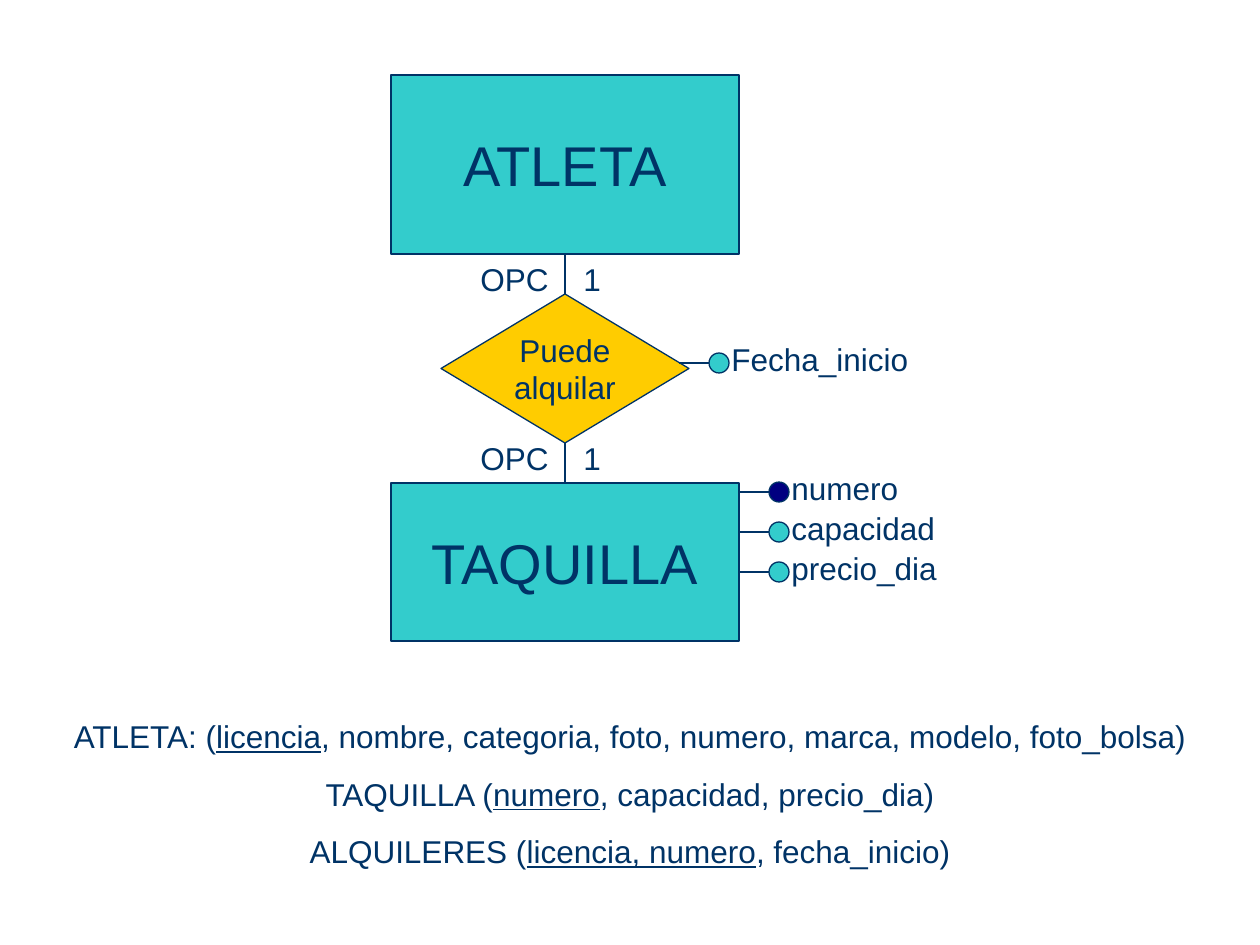
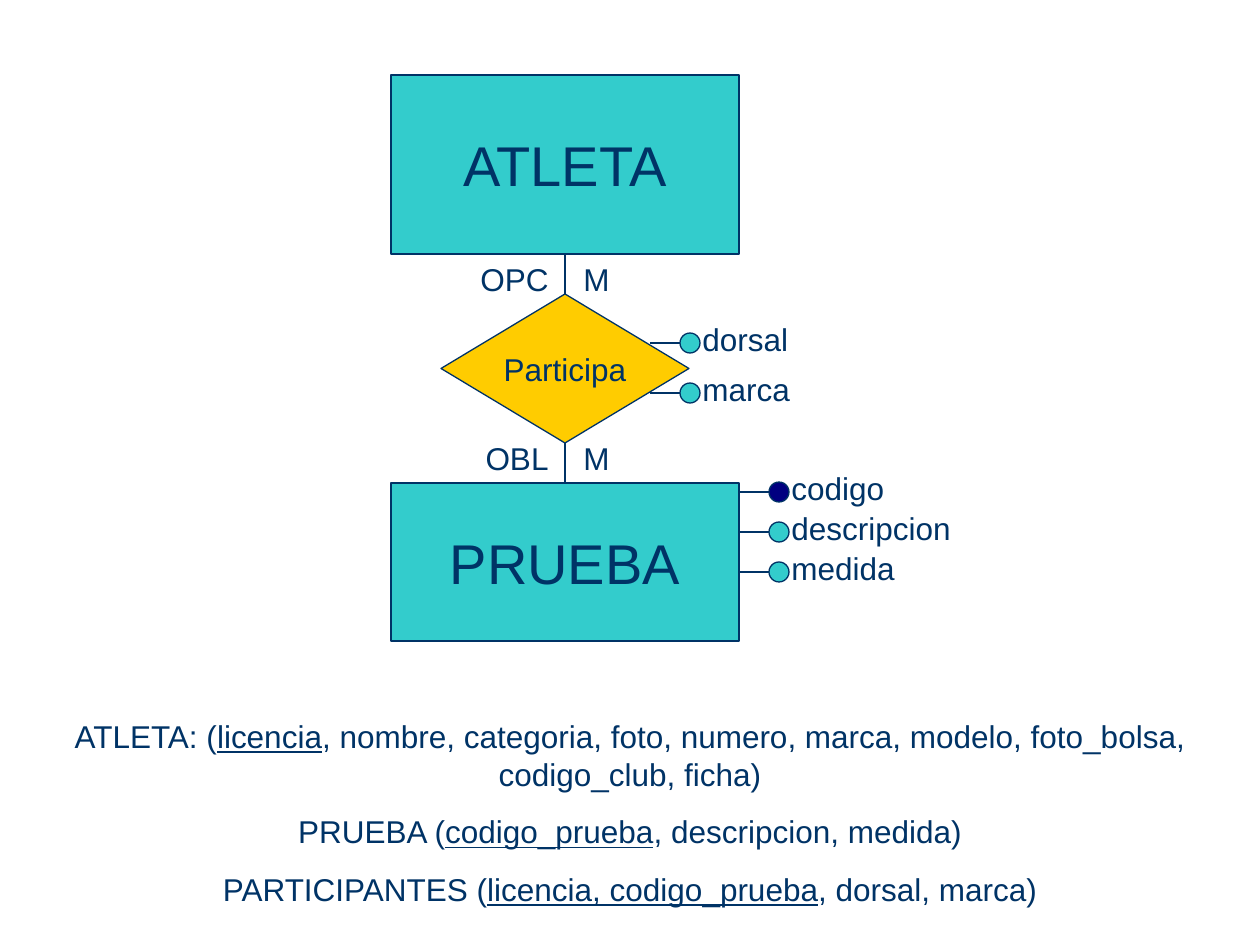
from lxml.etree import SubElement
from pptx import Presentation
from pptx.dml.color import RGBColor
from pptx.enum.shapes import MSO_CONNECTOR as CONN, MSO_SHAPE as SHAPE
from pptx.enum.text import MSO_ANCHOR as ANCHOR, MSO_AUTO_SIZE as AUTO, PP_ALIGN as ALIGN
from pptx.oxml.ns import qn
from pptx.util import Emu, Pt

# Shared style
NAVY = RGBColor(0x00, 0x33, 0x66)
TEAL = RGBColor(0x33, 0xCC, 0xCC)
GOLD = RGBColor(0xFF, 0xCC, 0x00)
KEY_BLUE = RGBColor(0x00, 0x00, 0x80)
FONT = "Arial"
BODY, ENTITY = 18, 32

# Layout in px, 126 to the inch
W, H = 1260, 945
AXIS = 565
ENTITY_W, DIAMOND_W = 348, 248
TOP_Y, TOP_H = 75, 179
DIAMOND_Y, DIAMOND_H = 294, 149
BOTTOM_Y, BOTTOM_H = 483, 158
ENTITY_RIGHT = AXIS + ENTITY_W // 2
ATTR_Y, ATTR_STEP = 492, 40
DOT, STEM, LABEL_H = 20, 30, 50


def px(n):
    return Emu(round(n * 914400 / 126))


class Diagram:
    def __init__(self):
        self.prs = Presentation()
        self.prs.slide_width, self.prs.slide_height = px(W), px(H)
        self.s = None

    def new_slide(self):
        self.s = self.prs.slides.add_slide(self.prs.slide_layouts[6])

    def style_run(self, r, size=BODY):
        r.font.name, r.font.size = FONT, Pt(size)
        r.font.color.rgb = NAVY

    def format_text(self, tf, size=BODY, align=ALIGN.LEFT, before=0):
        for p in tf.paragraphs:
            p.alignment = align
            p.space_before = Pt(before)
            for r in p.runs:
                self.style_run(r, size)

    def shape(self, shapes, kind, x, y, w, h, fill):
        sp = shapes.add_shape(kind, px(x), px(y), px(w), px(h))
        sp.shadow.inherit = False
        sp.fill.solid()
        sp.fill.fore_color.rgb = fill
        sp.line.color.rgb, sp.line.width = NAVY, Pt(0.75)
        return sp

    def node(self, kind, y, w, h, fill, text, size):
        sp = self.shape(self.s.shapes, kind, AXIS - w // 2, y, w, h, fill)
        tf = sp.text_frame
        tf.text = text
        tf.word_wrap, tf.vertical_anchor = False, ANCHOR.MIDDLE
        self.format_text(tf, size, ALIGN.CENTER)

    def line(self, shapes, x1, y1, x2, y2):
        c = shapes.add_connector(CONN.STRAIGHT, px(x1), px(y1), px(x2), px(y2))
        c.line.color.rgb, c.line.width = NAVY, Pt(0.75)
        SubElement(c._element.spPr, qn("a:effectLst"))

    def label(self, shapes, x, y, w, text, align=ALIGN.LEFT, wrap=True, before=0, h=LABEL_H):
        tf = shapes.add_textbox(px(x), px(y), px(w), px(h)).text_frame
        tf.text = text
        tf.word_wrap, tf.auto_size = wrap, AUTO.SHAPE_TO_FIT_TEXT
        self.format_text(tf, BODY, align, before)
        return tf

    def attribute(self, x, y, name, w, fill=TEAL):
        shapes = self.s.shapes.add_group_shape().shapes
        self.line(shapes, x, y, x + STEM, y)
        self.shape(shapes, SHAPE.OVAL, x + STEM, y - DOT // 2, DOT, DOT, fill)
        self.label(shapes, x + 40, y - 29, w, name, wrap=False)

    def cardinality(self, y, optionality, maximum):
        self.label(self.s.shapes, AXIS + 6, y, 100, maximum, before=11.2)
        self.label(self.s.shapes, AXIS - 153, y, 149, optionality, ALIGN.RIGHT, before=11.2)

    def schema(self, relations, h):
        tf = self.label(self.s.shapes, 0, 711, W, "", h=h)
        for i, (name, key, rest) in enumerate(relations):
            p = tf.add_paragraph() if i else tf.paragraphs[0]
            p.alignment, p.space_before = ALIGN.CENTER, Pt(11.2)
            for text in (name, key, rest):
                r = p.add_run()
                r.text = text
                self.style_run(r)
                r.font.underline = text == key

    def relationship(self, entity, verb, top, bottom, attributes, verb_attributes,
                     relations, schema_h):
        self.new_slide()
        # Entities and relationship
        self.node(SHAPE.RECTANGLE, BOTTOM_Y, ENTITY_W, BOTTOM_H, TEAL, entity, ENTITY)
        self.node(SHAPE.RECTANGLE, TOP_Y, ENTITY_W, TOP_H, TEAL, "ATLETA", ENTITY)
        self.node(SHAPE.DIAMOND, DIAMOND_Y, DIAMOND_W, DIAMOND_H, GOLD, verb, BODY)
        self.line(self.s.shapes, AXIS, DIAMOND_Y, AXIS, TOP_Y + TOP_H)
        self.line(self.s.shapes, AXIS, DIAMOND_Y + DIAMOND_H, AXIS, BOTTOM_Y)
        # Attributes, the key first
        for i, (name, w) in enumerate(attributes):
            self.attribute(ENTITY_RIGHT, ATTR_Y + i * ATTR_STEP, name, w,
                           TEAL if i else KEY_BLUE)
        for x, y, name, w in verb_attributes:
            self.attribute(x, y, name, w)
        # Cardinalities and relational schema
        self.cardinality(TOP_Y + TOP_H, *top)
        self.cardinality(BOTTOM_Y - LABEL_H, *bottom)
        self.schema(relations, schema_h)


def main():
    d = Diagram()
    athlete = "nombre, categoria, foto, numero, marca, modelo, foto_bolsa"

    # Locker rental
    d.relationship(
        "TAQUILLA", "Puede\nalquilar", ("OPC", "1"), ("OPC", "1"),
        [("numero", 135), ("capacidad", 172), ("precio_dia", 174)],
        [(679, 363, "Fecha_inicio", 205)],
        [("ATLETA: (", "licencia", f", {athlete})"),
         ("TAQUILLA (", "numero", ", capacidad, precio_dia)"),
         ("ALQUILERES (", "licencia, numero", ", fecha_inicio)")], 166)

    # Event participation
    d.relationship(
        "PRUEBA", "Participa", ("OPC", "M"), ("OBL", "M"),
        [("codigo", 121), ("descripcion", 188), ("medida", 132)],
        [(650, 343, "dorsal", 114), (650, 393, "marca", 116)],
        [("ATLETA: (", "licencia", f", {athlete}, codigo_club, ficha)"),
         ("PRUEBA (", "codigo_prueba", ", descripcion, medida)"),
         ("PARTICIPANTES (", "licencia, codigo_prueba", ", dorsal, marca)")], 204)

    d.prs.save("out.pptx")


if __name__ == "__main__":
    main()
